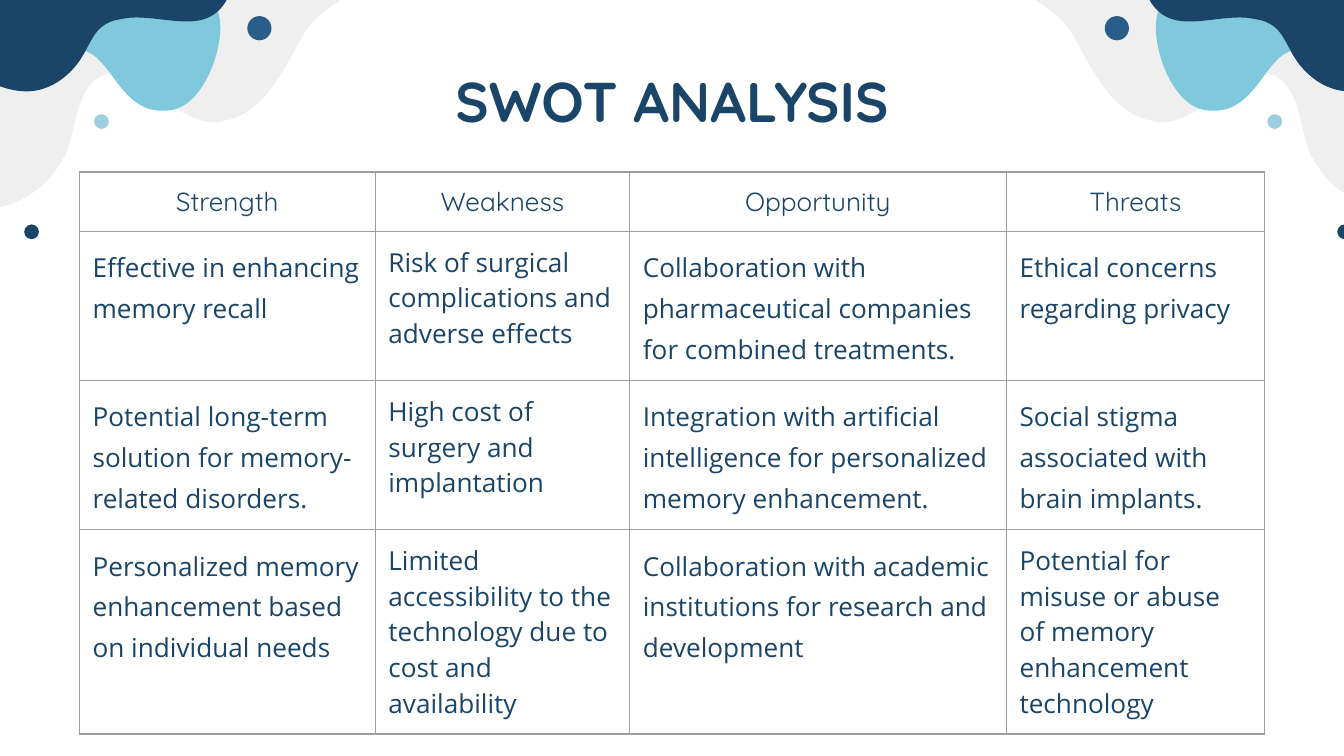
"""Builds a SWOT analysis slide with a four-column table and mirrored wave corners."""
import dataclasses

import lxml.etree
import pptx
import pptx.dml.color
import pptx.enum.shapes
import pptx.enum.text
import pptx.oxml.ns
import pptx.util

Cm, Pt = pptx.util.Cm, pptx.util.Pt
RGB = pptx.dml.color.RGBColor.from_string
qn = pptx.oxml.ns.qn
Align = pptx.enum.text.PP_ALIGN
Anchor = pptx.enum.text.MSO_ANCHOR


@dataclasses.dataclass
class Theme:
    navy: str = "1A4568"
    blue: str = "285E89"
    sky: str = "9DCEDF"
    teal: str = "80C9DD"
    mist: str = "EFEFEF"
    rule: str = "9E9E9E"
    head: str = "Quicksand"
    body: str = "Open Sans"
    large: int = 30
    small: int = 14


theme = Theme()
GRID = 0.0254
SPAN = 1024

WAVES = [
    (theme.mist, (254, -13), [
        (268, -13, 279, -12, 278, -9), (277, -6, 259, -3, 255, -1),
        (247, 4, 239, 10, 232, 17), (217, 34, 204, 84, 166, 90),
        (164, 91, 162, 91, 160, 91), (135, 91, 112, 64, 103, 58),
        (98, 55, 93, 53, 88, 53), (83, 53, 78, 55, 74, 57),
        (57, 68, 57, 93, 50, 112), (40, 135, 19, 152, -5, 155),
        (-4, 104, -7, 52, -14, 1), (18, -5, 51, -6, 84, -7),
        (130, -9, 175, -10, 221, -12), (224, -12, 240, -13, 254, -13)]),
    (theme.teal, (1, 22), [
        (1, 27, 3, 32, 9, 37), (24, 47, 46, 31, 64, 38),
        (85, 46, 91, 87, 127, 82), (149, 79, 164, 44, 164, 20),
        (164, 15, 163, 11, 162, 8), (162, 6, 136, 1, 133, 1),
        (106, -1, 78, -1, 50, 1), (37, 2, 24, 4, 11, 6),
        (7, 6, 9, 6, 6, 9), (4, 11, 1, 16, 1, 22)]),
    (theme.navy, (20, 68), [
        (1, 68, -14, 57, -14, 57), (-14, -13), (174, -13),
        (167, 11, 154, 16, 139, 16), (127, 16, 114, 13, 101, 13),
        (96, 13, 91, 14, 86, 15), (63, 21, 70, 43, 43, 61),
        (35, 66, 27, 68, 20, 68)]),
]
DOTS = [(theme.blue, 184, 12, 18), (theme.sky, 70, 85, 11), (theme.navy, 18, 167, 11)]

WIDTHS = [5.59, 4.81, 7.12, 4.88]
HEIGHT = 1.07
ROWS = [
    ["Strength", "Weakness", "Opportunity", "Threats"],
    ["Effective in enhancing memory recall",
     "Risk of surgical complications and adverse effects",
     "Collaboration with pharmaceutical companies for combined treatments.",
     "Ethical concerns regarding privacy"],
    ["Potential long-term solution for memory-related disorders.",
     "High cost of surgery and implantation",
     "Integration with artificial intelligence for personalized memory enhancement.",
     "Social stigma associated with brain implants."],
    ["Personalized memory enhancement based on individual needs",
     "Limited accessibility to the technology due to cost and availability",
     "Collaboration with academic institutions for research and development",
     "Potential for misuse or abuse of memory enhancement technology"],
]
TIGHT = {(1, 1), (2, 1), (3, 1), (3, 3)}


def bend(shape, parts):
    """Turn each run of three straight segments into one cubic curve."""
    lines = iter(list(shape._element.iter(qn("a:lnTo"))))
    for part in parts:
        line = next(lines)
        if len(part) == 6:
            line.addprevious(curve := lxml.etree.Element(qn("a:cubicBezTo")))
            for piece in (line, next(lines), next(lines)):
                curve.append(piece[0])
                piece.getparent().remove(piece)


def paint(shape, color):
    """Give the shape a plain fill with no line or shadow."""
    shape.shadow.inherit = False
    shape.fill.solid()
    shape.fill.fore_color.rgb = RGB(color)
    shape.line.fill.background()


deck = pptx.Presentation()
deck.slide_width, deck.slide_height = Cm(25.4), Cm(14.29)
slide = deck.slides.add_slide(deck.slide_layouts[5])
shapes = slide.shapes

for flip in (False, True):
    for color, start, parts in WAVES:
        knots = [start] + [part[i:i + 2] for part in parts for i in range(0, len(part), 2)]
        points = [(Cm((SPAN - x if flip else x) * GRID), Cm(y * GRID)) for x, y in knots]
        pen = shapes.build_freeform(*points[0])
        pen.add_line_segments(points[1:], close=True)
        wave = pen.convert_to_shape()
        bend(wave, parts)
        paint(wave, color)
    for color, x, y, size in DOTS:
        left = SPAN - x - size if flip else x
        dot = shapes.add_shape(pptx.enum.shapes.MSO_SHAPE.OVAL, Cm(left * GRID),
                               Cm(y * GRID), Cm(size * GRID), Cm(size * GRID))
        paint(dot, color)

title = shapes.title
title.left, title.top, title.width, title.height = Cm(1.5), Cm(1), Cm(22.4), Cm(1.6)
frame = title.text_frame
frame.text = "SWOT ANALYSIS"
frame.auto_size = pptx.enum.text.MSO_AUTO_SIZE.NONE
frame.vertical_anchor = Anchor.TOP
frame.margin_left = frame.margin_right = frame.margin_top = frame.margin_bottom = Cm(0.25)
frame.paragraphs[0].alignment = Align.CENTER
font = frame.paragraphs[0].runs[0].font
font.name, font.size, font.bold = theme.head, Pt(theme.large), True
font.color.rgb = RGB(theme.navy)

table = shapes.add_table(len(ROWS), len(WIDTHS), Cm(1.5), Cm(3.25),
                         Cm(sum(WIDTHS)), Cm(HEIGHT * len(ROWS))).table
table.first_row = table.horz_banding = False
for column, width in zip(table.columns, WIDTHS):
    column.width = Cm(width)

for r, texts in enumerate(ROWS):
    for c, text in enumerate(texts):
        cell = table.cell(r, c)
        cell.margin_left = cell.margin_right = Cm(0.25)
        cell.margin_top = cell.margin_bottom = Cm(0.25)
        cell.vertical_anchor = Anchor.TOP if r else Anchor.MIDDLE
        cell.text_frame.text = text
        para = cell.text_frame.paragraphs[0]
        para.alignment = Align.LEFT if r else Align.CENTER
        if r and (r, c) not in TIGHT:
            para.line_spacing = 1.15
            para.space_before = para.space_after = Pt(12)
        font = para.runs[0].font
        font.name = theme.body if r else theme.head
        font.size = Pt(theme.small)
        font.color.rgb = RGB(theme.navy)
        props = cell._tc.get_or_add_tcPr()
        for side in ("lnL", "lnR", "lnT", "lnB"):
            line = lxml.etree.SubElement(props, qn("a:" + side), w=str(Pt(0.75)))
            fill = lxml.etree.SubElement(line, qn("a:solidFill"))
            lxml.etree.SubElement(fill, qn("a:srgbClr"), val=theme.rule)
        cell.fill.background()

deck.save("out.pptx")
